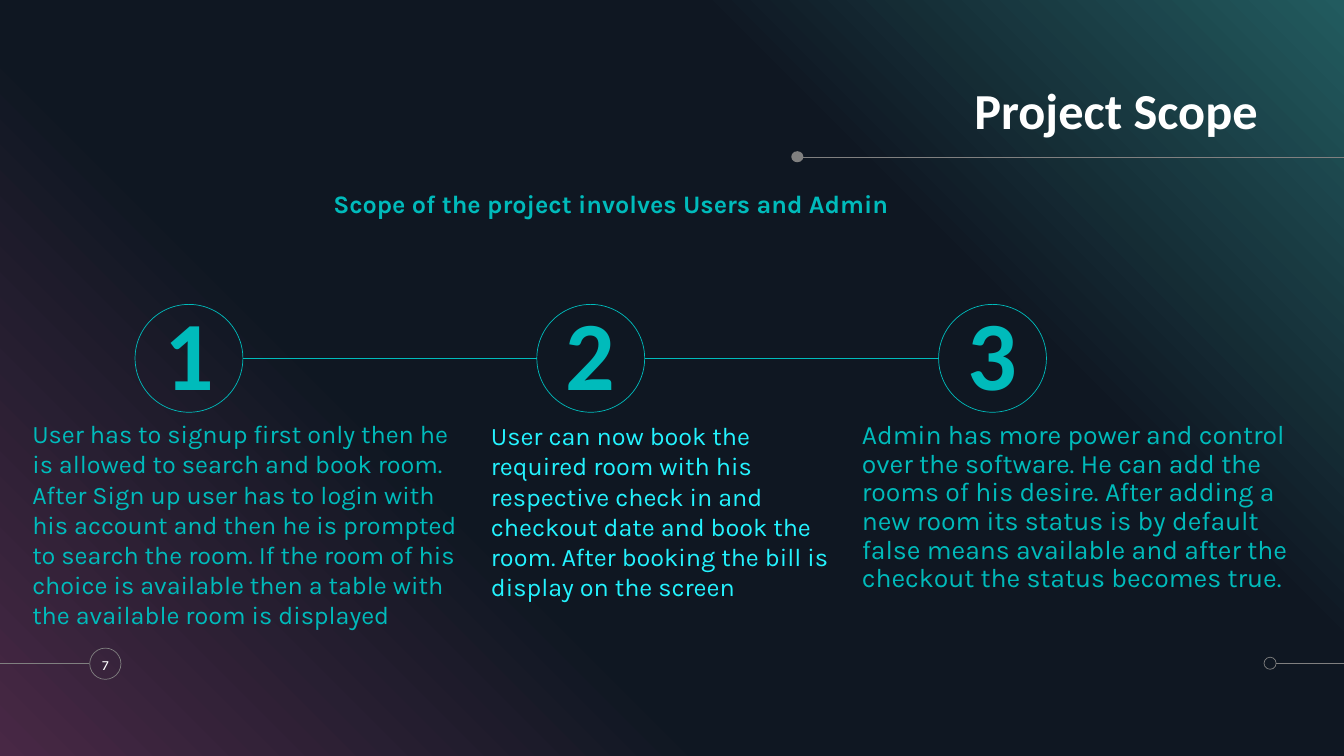
from dataclasses import dataclass

from lxml import etree
from pptx import Presentation
from pptx.dml.color import RGBColor
from pptx.enum.shapes import MSO_CONNECTOR, MSO_SHAPE
from pptx.enum.text import MSO_ANCHOR, MSO_AUTO_SIZE, PP_ALIGN
from pptx.oxml.ns import qn
from pptx.util import Inches, Pt

COLS, ROWS = 160, 90
CELL = Inches(1) / 12
TEAL, CYAN, GREY, WHITE = "00BBBB", "24F3FF", "808080", "FFFFFF"
BACKDROP = [(0, "482845"), (34, "0F1722"), (69, "0F1722"), (100, "225B5F")]
STEP_LEFT, STEP_TOP, STEP_PITCH, STEP_SIZE = 16.08, 36.24, 47.83, 12.84


@dataclass
class Box:
    col: float
    row: float
    cols: float
    rows: float


@dataclass
class Style:
    size: float
    color: str = TEAL
    font: str = "Karla"
    bold: bool = False
    align: PP_ALIGN = PP_ALIGN.LEFT
    anchor: MSO_ANCHOR = MSO_ANCHOR.TOP
    spacing: float = 1.0
    before: float = 0


@dataclass
class Block:
    idx: int
    box: Box
    text: str
    style: Style


@dataclass
class Rule:
    start: float
    end: float
    row: float
    color: str = GREY


@dataclass
class Ring:
    box: Box
    color: str = GREY
    filled: bool = False


BLOCKS = [
    Block(0, Box(66.96, 9.24, 82.8, 7.44), "Project Scope",
          Style(36, WHITE, "Calibri", True, PP_ALIGN.RIGHT, MSO_ANCHOR.BOTTOM, 0.9)),
    Block(1, Box(7.32, 22.44, 130.8, 7.44), "Scope of the project involves Users and Admin",
          Style(18, bold=True, align=PP_ALIGN.CENTER, before=10)),
    Block(2, Box(3.84, 49.8, 52.08, 25.32),
          "User has to signup first only then he is allowed to search and book room. "
          "After Sign up user has to login with his account and then he is prompted to "
          "search the room. If the room of his choice is available then a table with the "
          "available room is displayed", Style(18, before=6)),
    Block(3, Box(58.44, 50.04, 42.96, 24.72),
          "User can now book the required room with his respective check in and checkout "
          "date and book the room. After booking the bill is display on the screen",
          Style(18, CYAN, before=6)),
    Block(4, Box(102.6, 50.16, 52.56, 21.84),
          "Admin has more power and control over the software. He can add the rooms of his "
          "desire. After adding a new room its status is by default false means available "
          "and after the checkout the status becomes true.",
          Style(19, spacing=0.9, before=6)),
]
RULES = [Rule(95.28, COLS, 18.72), Rule(151.92, COLS, 78.96), Rule(0, 10.6, 78.96)]
RINGS = [
    Ring(Box(94.2, 18, 1.44, 1.32), filled=True),
    Ring(Box(150.48, 78.24, 1.44, 1.44)),
    Ring(Box(10.68, 77.16, 3.72, 3.72)),
]
NUMBER_STYLE = Style(70, TEAL, "Calibri", True, PP_ALIGN.CENTER, MSO_ANCHOR.MIDDLE, 0.9, 10)
PAGE_STYLE = Style(10, WHITE, align=PP_ALIGN.CENTER, anchor=MSO_ANCHOR.MIDDLE)


def rgb(color: str) -> RGBColor:
    return RGBColor.from_string(color)


def emu(cells: float) -> int:
    return round(cells * CELL)


def place(box: Box) -> tuple[int, int, int, int]:
    return emu(box.col), emu(box.row), emu(box.cols), emu(box.rows)


def apply(target, values: dict) -> None:
    for name, value in values.items():
        setattr(target, name, value)


def write(sp, text: str, style: Style) -> None:
    tf = sp.text_frame
    apply(tf, dict(word_wrap=True, auto_size=MSO_AUTO_SIZE.NONE, vertical_anchor=style.anchor,
                   margin_left=0, margin_right=0, margin_top=0, margin_bottom=0))
    p = tf.paragraphs[0]
    apply(p, dict(alignment=style.align, line_spacing=style.spacing,
                  space_before=Pt(style.before)))
    r = p.add_run()
    r.text = text
    apply(r.font, dict(name=style.font, size=Pt(style.size), bold=style.bold))
    r.font.color.rgb = rgb(style.color)


def fill_block(slide, block: Block) -> None:
    sp = slide.placeholders[block.idx]
    apply(sp, dict(zip(("left", "top", "width", "height"), place(block.box))))
    write(sp, block.text, block.style)
    pPr = sp.text_frame.paragraphs[0]._p.get_or_add_pPr()
    pPr.set("marL", "0")
    pPr.set("indent", "0")
    etree.SubElement(pPr, qn("a:buNone"))


def add_rule(slide, rule: Rule) -> None:
    y = emu(rule.row)
    line = slide.shapes.add_connector(MSO_CONNECTOR.STRAIGHT, emu(rule.start), y,
                                      emu(rule.end), y)
    line.line.color.rgb = rgb(rule.color)
    line.line.width = Pt(0.5)
    etree.SubElement(line._element.spPr, qn("a:effectLst"))


def add_ring(slide, ring: Ring):
    sp = slide.shapes.add_shape(MSO_SHAPE.OVAL, *place(ring.box))
    sp.shadow.inherit = False
    if ring.filled:
        sp.fill.solid()
        sp.fill.fore_color.rgb = rgb(ring.color)
        sp.line.fill.background()
    else:
        sp.fill.background()
        sp.line.color.rgb = rgb(ring.color)
        sp.line.width = Pt(0.5)
    return sp


def paint_backdrop(slide) -> None:
    """Diagonal gradient from the bottom left to the top right corner."""
    fill = slide.background.fill
    fill.gradient()
    fill.gradient_angle = 45
    stops = slide._element.find(".//" + qn("a:gsLst"))
    for stop in list(stops):
        stops.remove(stop)
    for percent, color in BACKDROP:
        stop = etree.SubElement(stops, qn("a:gs"), pos=str(percent * 1000))
        etree.SubElement(stop, qn("a:srgbClr"), val=color)


def add_steps(slide, count: int) -> None:
    for i in range(count):
        left = STEP_LEFT + i * STEP_PITCH
        sp = add_ring(slide, Ring(Box(left, STEP_TOP, STEP_SIZE, STEP_SIZE), TEAL))
        write(sp, str(i + 1), NUMBER_STYLE)
        if i < count - 1:
            add_rule(slide, Rule(left + STEP_SIZE, left + STEP_PITCH,
                                 STEP_TOP + STEP_SIZE / 2, TEAL))


def main() -> None:
    prs = Presentation()
    prs.slide_width, prs.slide_height = emu(COLS), emu(ROWS)
    slide = prs.slides.add_slide(prs.slide_layouts.get_by_name("Comparison"))
    paint_backdrop(slide)
    for rule in RULES:
        add_rule(slide, rule)
    for ring in RINGS:
        add_ring(slide, ring)
    for block in BLOCKS:
        fill_block(slide, block)
    add_steps(slide, 3)
    page = slide.shapes.add_textbox(*place(Box(10.2, 77.16, 4.68, 3.96)))
    write(page, "7", PAGE_STYLE)
    prs.save("out.pptx")


if __name__ == "__main__":
    main()
